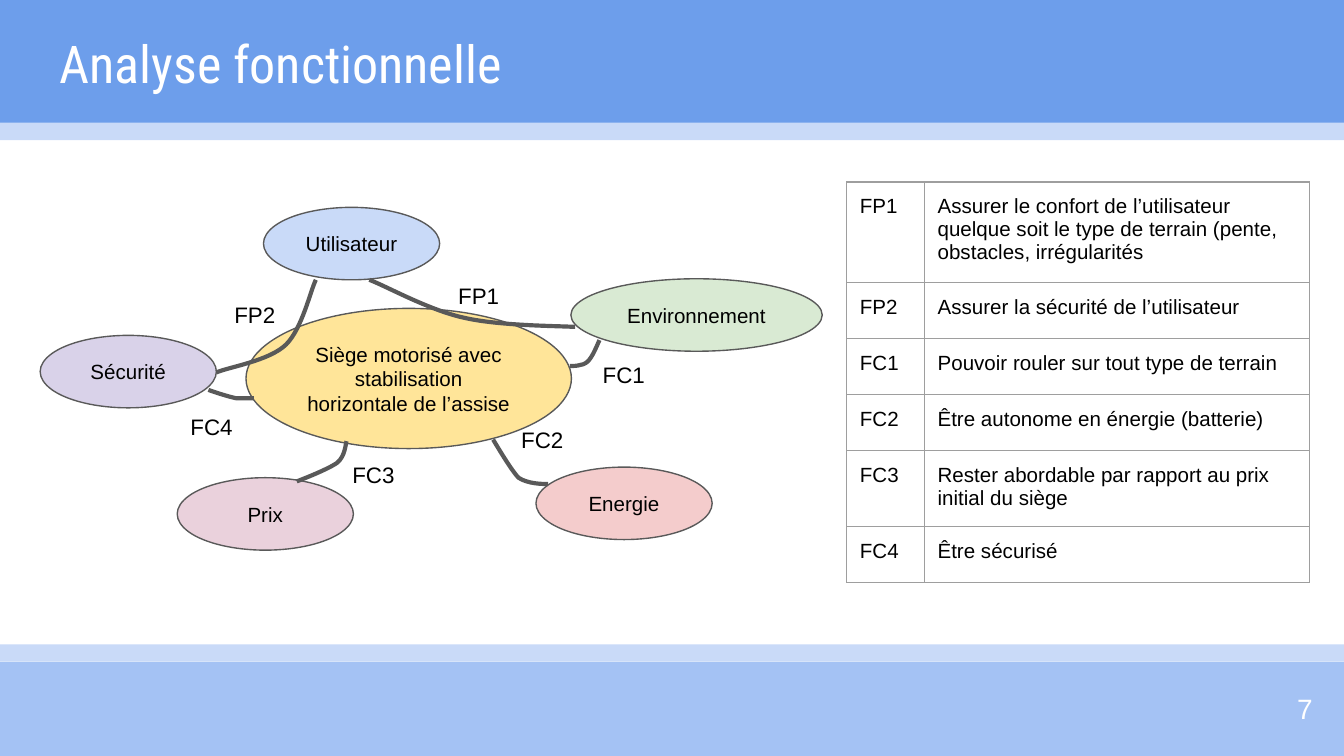
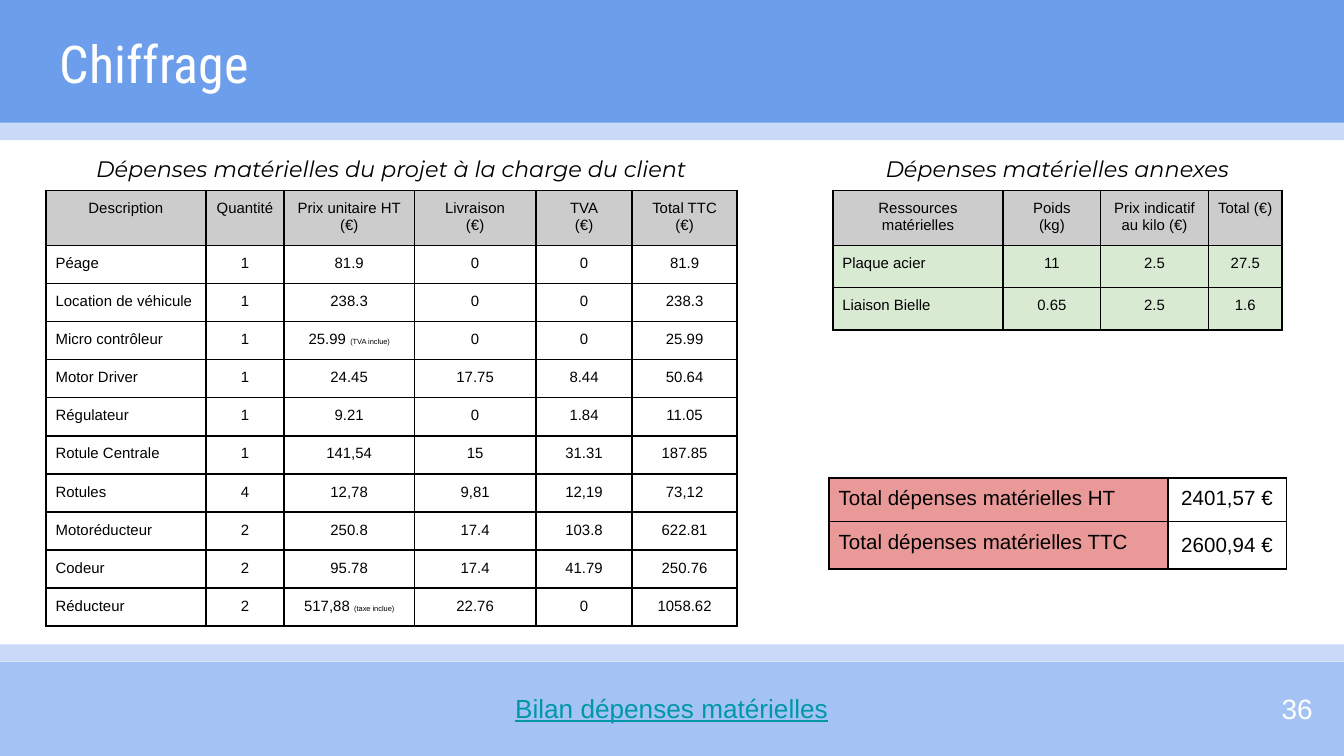
from lxml.etree import SubElement
from pptx import Presentation
from pptx.dml.color import RGBColor
from pptx.enum.shapes import MSO_SHAPE
from pptx.enum.text import MSO_ANCHOR, MSO_AUTO_SIZE, PP_ALIGN
from pptx.oxml.ns import qn
from pptx.util import Cm, Pt

BLUE = RGBColor(0x6D, 0x9E, 0xEB)
SKY = RGBColor(0xA4, 0xC2, 0xF4)
PALE = RGBColor(0xC9, 0xDA, 0xF8)
GOLD = RGBColor(0xFF, 0xE5, 0x99)
GREEN = RGBColor(0xD9, 0xEA, 0xD3)
PINK = RGBColor(0xEA, 0xD1, 0xDC)
MAUVE = RGBColor(0xD9, 0xD2, 0xE9)
ROSE = RGBColor(0xF4, 0xCC, 0xCC)
RED = RGBColor(0xEA, 0x99, 0x99)
SILVER = RGBColor(0xCC, 0xCC, 0xCC)
GREY = RGBColor(0x9E, 0x9E, 0x9E)
DARK = RGBColor(0x59, 0x59, 0x59)
TEAL = RGBColor(0x00, 0x97, 0xA7)
BLACK = RGBColor(0, 0, 0)
WHITE = RGBColor(255, 255, 255)

BANDS = [
    (-0.08, -0.03, 2.37, BLUE),
    (-0.03, 12.51, 1.83, SKY),
    (-0.03, 12.18, 0.33, PALE),
    (-0.08, 2.32, 0.33, PALE),
]

NODES = [
    ("Siège motorisé avec stabilisation horizontale de l’assise",
     3.89, 1.91, 6.15, 2.65, GOLD),
    ("Utilisateur", 4.22, 0, 3.33, 1.37, PALE),
    ("Environnement", 10.03, 1.35, 4.75, 1.37, GREEN),
    ("Prix", 2.59, 5.11, 3.33, 1.37, PINK),
    ("Sécurité", 0, 2.42, 3.33, 1.37, MAUVE),
    ("Energie", 9.37, 4.91, 3.33, 1.37, ROSE),
]

LINKS = [
    ("FP1", 7.65, 1.17, [(6.22, 1.37), (6.5, 1.47), (7.32, 1.93), (7.98, 2.08),
                         (8.64, 2.24), (9.75, 2.24), (10.11, 2.26)]),
    ("FP2", 3.42, 1.53, [(3.33, 3.12), (3.56, 3.02), (4.34, 2.9), (4.65, 2.59),
                         (4.95, 2.29), (5.11, 1.57), (5.21, 1.37)]),
    ("FC1", 10.38, 2.65, [(10.57, 2.51), (10.54, 2.57), (10.44, 2.84), (10.34, 2.92),
                          (10.26, 3), (10.06, 3), (10.01, 3)]),
    ("FC2", 8.84, 3.89, [(8.56, 4.39), (8.64, 4.52), (8.89, 4.95), (9.04, 5.11),
                         (9.22, 5.23), (9.5, 5.23), (9.6, 5.23)]),
    ("FC3", 5.65, 4.55, [(4.85, 5.18), (4.98, 5.13), (5.44, 4.95), (5.61, 4.83),
                         (5.77, 4.7), (5.77, 4.47), (5.79, 4.42)]),
    ("FC4", 2.59, 3.64, [(3.18, 3.45), (3.25, 3.48), (3.56, 3.58), (3.71, 3.61),
                         (3.84, 3.61), (3.99, 3.61), (4.04, 3.61)]),
]

GOALS = [
    ("FP1", "Assurer le confort de l’utilisateur quelque soit le type de terrain "
            "(pente, obstacles, irrégularités"),
    ("FP2", "Assurer la sécurité de l’utilisateur"),
    ("FC1", "Pouvoir rouler sur tout type de terrain"),
    ("FC2", "Être autonome en énergie (batterie)"),
    ("FC3", "Rester abordable par rapport au prix initial du siège"),
    ("FC4", "Être sécurisé"),
]

COSTS = [
    ("Description", "Quantité", "Prix unitaire HT (€)", "Livraison\n(€)", "TVA\n(€)",
     "Total TTC\n(€)"),
    ("Péage", "1", "81.9", "0", "0", "81.9"),
    ("Location de véhicule", "1", "238.3", "0", "0", "238.3"),
    ("Micro contrôleur", "1", "25.99 |(TVA inclue)", "0", "0", "25.99"),
    ("Motor Driver", "1", "24.45", "17.75", "8.44", "50.64"),
    ("Régulateur", "1", "9.21", "0", "1.84", "11.05"),
    ("Rotule Centrale", "1", "141,54", "15", "31.31", "187.85"),
    ("Rotules", "4", "12,78", "9,81", "12,19", "73,12"),
    ("Motoréducteur", "2", "250.8", "17.4", "103.8", "622.81"),
    ("Codeur", "2", "95.78", "17.4", "41.79", "250.76"),
    ("Réducteur", "2", "517,88 |(taxe inclue)", "22.76", "0", "1058.62"),
]

EXTRAS = [
    ("Ressources matérielles", "Poids\n(kg)", "Prix indicatif au kilo (€)", "Total (€)"),
    ("Plaque acier", "11", "2.5", "27.5"),
    ("Liaison Bielle", "0.65", "2.5", "1.6"),
]

TOTALS = [
    ("Total dépenses matérielles HT", "2401,57 €"),
    ("Total dépenses matérielles TTC", "2600,94 €"),
]


def style(frame, text, size, color=BLACK, face="Arial", align=PP_ALIGN.LEFT,
          anchor=MSO_ANCHOR.TOP):
    frame.text = text
    frame.word_wrap = True
    frame.vertical_anchor = anchor
    frame.margin_left = frame.margin_right = Cm(0.25)
    frame.margin_top = frame.margin_bottom = Cm(0.25)
    for para in frame.paragraphs:
        para.alignment = align
        for run in para.runs:
            font = run.font
            font.size, font.name, font.color.rgb = Pt(size), face, color


def label(slide, box, text, size, **look):
    frame = slide.shapes.add_textbox(*map(Cm, box)).text_frame
    style(frame, text, size, **look)
    return frame.paragraphs[0].runs[0].font


def solid(slide, kind, box, fill):
    shape = slide.shapes.add_shape(kind, *map(Cm, box))
    shape.shadow.inherit = False
    shape.fill.solid()
    shape.fill.fore_color.rgb = fill
    return shape


def bands(slide):
    tree = slide.slide_layout.shapes.element
    for spot, (x, y, high, fill) in enumerate(BANDS):
        band = solid(slide, MSO_SHAPE.RECTANGLE, (x, y, 25.58, high), fill)
        band.line.fill.background()
        tree.insert(2 + spot, band.element)


def frame_page(deck, title, number):
    slide = deck.slides.add_slide(deck.slide_layouts[5])
    head = slide.shapes.title
    head.left, head.top, head.width, head.height = map(Cm, (0.88, 0.34, 23.67, 1.6))
    style(head.text_frame, title, 27.9, WHITE, "Roboto Condensed")
    head.text_frame.auto_size = MSO_AUTO_SIZE.NONE
    label(slide, (23.54, 12.85, 1.52, 1.09), number, 15, color=WHITE,
          align=PP_ALIGN.RIGHT, anchor=MSO_ANCHOR.MIDDLE)
    return slide


def bend(curve):
    for track in curve.element.iter(qn("a:path")):
        legs = track.findall(qn("a:lnTo"))
        for first in range(0, len(legs), 3):
            arc = SubElement(track, qn("a:cubicBezTo"))
            for leg in legs[first:first + 3]:
                arc.append(leg[0])
                track.remove(leg)


def graph(slide, left, top):
    for text, x, y, wide, high, fill in NODES:
        node = solid(slide, MSO_SHAPE.OVAL, (left + x, top + y, wide, high), fill)
        node.line.color.rgb = DARK
        node.line.width = Pt(0.75)
        style(node.text_frame, text, 11, align=PP_ALIGN.CENTER, anchor=MSO_ANCHOR.MIDDLE)
    for text, x, y, points in LINKS:
        start, *rest = [(Cm(left + a), Cm(top + b)) for a, b in points]
        pen = slide.shapes.build_freeform(*start)
        pen.add_line_segments(rest, close=False)
        curve = pen.convert_to_shape()
        bend(curve)
        curve.shadow.inherit = False
        curve.fill.background()
        curve.line.color.rgb = DARK
        curve.line.width = Pt(2.25)
        label(slide, (left + x, top + y, 1.73, 1.02), text, 12)


def edge(cell, color, width):
    props = cell._tc.get_or_add_tcPr()
    for side in ("a:lnL", "a:lnR", "a:lnT", "a:lnB"):
        line = SubElement(props, qn(side), w=str(Pt(width)))
        fill = SubElement(line, qn("a:solidFill"))
        SubElement(fill, qn("a:srgbClr"), val=str(color))


def grid(slide, left, top, cols, rows, data, size, pad, border, paint, center=True):
    shape = slide.shapes.add_table(len(rows), len(cols), Cm(left), Cm(top),
                                   Cm(sum(cols)), Cm(sum(rows)))
    table = shape.table
    table.first_row = table.horz_banding = False
    for col, wide in zip(table.columns, cols):
        col.width = Cm(wide)
    for row, high in zip(table.rows, rows):
        row.height = Cm(high)
    for i, line in enumerate(data):
        for j, text in enumerate(line):
            cell = table.cell(i, j)
            edge(cell, *border)
            fill = paint(i, j)
            if fill is None:
                cell.fill.background()
            else:
                cell.fill.solid()
                cell.fill.fore_color.rgb = fill
            main, _, note = text.partition("|")
            middle = center and (j > 0 or fill == SILVER)
            style(cell.text_frame, main, size,
                  align=PP_ALIGN.CENTER if middle else PP_ALIGN.LEFT)
            cell.margin_left = cell.margin_right = Cm(pad)
            cell.margin_top = cell.margin_bottom = Cm(pad)
            if note:
                run = cell.text_frame.paragraphs[0].add_run()
                run.text = note
                run.font.size, run.font.name = Pt(4), "Arial"
                run.font.color.rgb = BLACK
    return table


def needs(deck):
    slide = frame_page(deck, "Analyse fonctionnelle", "7")
    bands(slide)
    graph(slide, 0.76, 3.92)
    grid(slide, 16, 3.44, [1.47, 7.28], [1.8, 1.06, 1.06, 1.06, 1.36, 1.06],
         GOALS, 11, 0.25, (GREY, 0.75), lambda i, j: None, center=False)


def budget(deck):
    slide = frame_page(deck, "Chiffrage", "36")
    rule = (BLACK, 1)
    grid(slide, 0.87, 3.6, [3.02, 1.48, 2.46, 2.3, 1.82, 1.98], [0.98] + [0.72] * 10,
         COSTS, 8, 0.18, rule, lambda i, j: None if i else SILVER)
    grid(slide, 15.74, 3.6, [3.22, 1.84, 2.04, 1.39], [1.02, 0.8, 0.8],
         EXTRAS, 8, 0.18, rule, lambda i, j: GREEN if i else SILVER)
    sums = grid(slide, 15.67, 9.03, [6.4, 2.24], [0.79, 0.85],
                TOTALS, 11, 0.18, rule, lambda i, j: None if j else RED)
    sums.cell(1, 1).text_frame.paragraphs[0].line_spacing = 1.15
    for text, x, wide in [
        ("Dépenses matérielles du projet à la charge du client", 1.24, 12.32),
        ("Dépenses matérielles annexes", 15.92, 8.13),
    ]:
        font = label(slide, (x, 2.68, wide, 1.02), text, 12, face="Montserrat",
                     align=PP_ALIGN.CENTER)
        font.italic = True
    font = label(slide, (8.53, 12.83, 8.33, 1.12), "Bilan dépenses matérielles", 14,
                 color=TEAL, align=PP_ALIGN.CENTER)
    font.underline = True


def main():
    deck = Presentation()
    deck.slide_width, deck.slide_height = Cm(25.4), Cm(14.29)
    needs(deck)
    budget(deck)
    deck.save("out.pptx")


if __name__ == "__main__":
    main()
